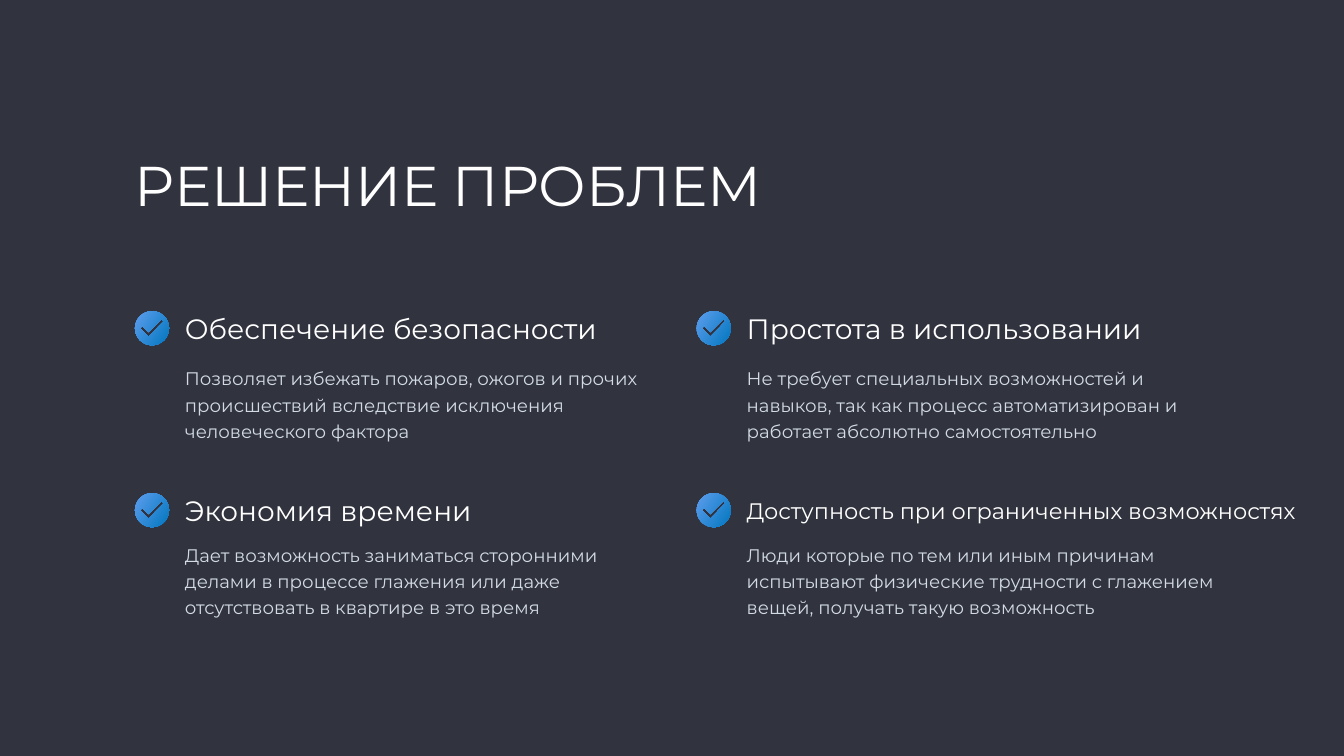
from itertools import product

from lxml.etree import SubElement
from pptx import Presentation
from pptx.dml.color import RGBColor
from pptx.enum.text import MSO_ANCHOR, MSO_AUTO_SIZE, PP_ALIGN
from pptx.oxml.ns import qn
from pptx.util import Cm, Pt

# Content: heading, its size and width, body; listed column by column
TITLE = "РЕШЕНИЕ ПРОБЛЕМ"
CARDS = [
    ("Обеспечение безопасности", 40, 21.69,
     "Позволяет избежать пожаров, ожогов и прочих происшествий "
     "вследствие исключения человеческого фактора"),
    ("Экономия времени", 40, 19.1,
     "Дает возможность заниматься сторонними делами в процессе глажения "
     "или даже отсутствовать в квартире в это время"),
    ("Простота в использовании", 40, 21.08,
     "Не требует специальных возможностей и навыков, так как процесс "
     "автоматизирован и работает абсолютно самостоятельно"),
    ("Доступность при ограниченных возможностях", 32, 29.03,
     "Люди которые по тем или иным причинам испытывают физические "
     "трудности с глажением вещей, получать такую возможность"),
]

# Colours and grid, in centimetres
BACK, WHITE, PALE = "31333F", "FFFFFF", "D2DBE4"
BLUES = ["5E9EEE", "0277BF"]
LEFT, TOP = 7.66, 16.54          # centre of the first badge
STEP_X, STEP_Y = 28.31, 9.17
INDENT = 1.51                    # from badge centre to text
BODIES = [(1.62, 4.06), (1.34, 4.29)]   # drop and height, by row
RADIUS = 0.86
BEND = 0.55                      # handle length for a round quarter
DISC = [(0, -RADIUS), (-RADIUS, 0), (0, RADIUS), (RADIUS, 0)]
TICK = [(-0.18, 0.43), (-0.6, 0), (-0.48, -0.1),
        (-0.18, 0.2), (0.48, -0.46), (0.59, -0.35)]


def rgb(code):
    return RGBColor.from_string(code)


def write(shape, text, size, color=WHITE, anchor=MSO_ANCHOR.MIDDLE, lead=None):
    frame = shape.text_frame
    frame.word_wrap = True
    frame.auto_size = MSO_AUTO_SIZE.SHAPE_TO_FIT_TEXT
    frame.vertical_anchor = anchor
    frame.margin_left = frame.margin_right = Cm(0.15)
    frame.margin_top = frame.margin_bottom = Cm(0.15)
    para = frame.paragraphs[0]
    para.alignment = PP_ALIGN.LEFT
    para.line_spacing = lead
    run = para.add_run()
    run.text = text
    run.font.name = "Montserrat"
    run.font.size = Pt(size)
    run.font.color.rgb = rgb(color)


def add_text(slide, x, y, width, height, text, size, **style):
    box = slide.shapes.add_textbox(Cm(x), Cm(y), Cm(width), Cm(height))
    write(box, text, size, **style)


def round_off(shape):
    """Turn the four sides of the diamond into quarter circles."""
    mid = Cm(RADIUS)
    ring = [(mid + Cm(dx), mid + Cm(dy)) for dx, dy in DISC]
    sides = list(shape.element.iter(qn("a:lnTo")))[:4]
    for side, start, end in zip(sides, ring, ring[1:] + ring[:1]):
        corner = [a + b - mid for a, b in zip(start, end)]
        side.clear()
        side.tag = qn("a:cubicBezTo")
        for point in (start, end):
            x, y = (round(p + BEND * (c - p)) for p, c in zip(point, corner))
            SubElement(side, qn("a:pt"), x=str(x), y=str(y))
        SubElement(side, qn("a:pt"), x=str(end[0]), y=str(end[1]))


def add_badge(slide, x, y):
    """Draw a disc with a tick cut out of it."""
    rim, tick = ([(Cm(x) + Cm(dx), Cm(y) + Cm(dy)) for dx, dy in ring]
                 for ring in (DISC, TICK))
    pen = slide.shapes.build_freeform(*rim[0])
    pen.add_line_segments(rim[1:] + rim[:1], close=True)
    pen.move_to(*tick[0])
    pen.add_line_segments(tick[1:], close=True)
    badge = pen.convert_to_shape()
    round_off(badge)
    badge.shadow.inherit = False
    badge.line.fill.background()
    badge.fill.gradient()
    badge.fill.gradient_angle = 326
    for stop, code in zip(badge.fill.gradient_stops, BLUES):
        stop.color.rgb = rgb(code)


def main():
    deck = Presentation()
    deck.slide_width, deck.slide_height = Cm(67.73), Cm(38.1)
    slide = deck.slides.add_slide(deck.slide_layouts[5])
    slide.background.fill.solid()
    slide.background.fill.fore_color.rgb = rgb(BACK)

    # Title
    title = slide.shapes.title
    title.left, title.top = Cm(6.65), Cm(7.44)
    title.width, title.height = Cm(33.48), Cm(3.71)
    write(title, TITLE, 80)

    # Card texts
    for i, (head, size, width, body) in enumerate(CARDS):
        col, row = divmod(i, 2)
        x, y = LEFT + col * STEP_X + INDENT, TOP + row * STEP_Y
        drop, height = BODIES[row]
        add_text(slide, x, y + drop, 24.05, height, body, 26,
                 color=PALE, anchor=MSO_ANCHOR.TOP, lead=1.2)
        tall = size / 20
        add_text(slide, x, y + 0.03 - tall / 2, width, tall, head, size)

    # Badges
    for row, col in product(range(2), repeat=2):
        add_badge(slide, LEFT + col * STEP_X, TOP + row * STEP_Y)

    deck.save("out.pptx")


if __name__ == "__main__":
    main()
